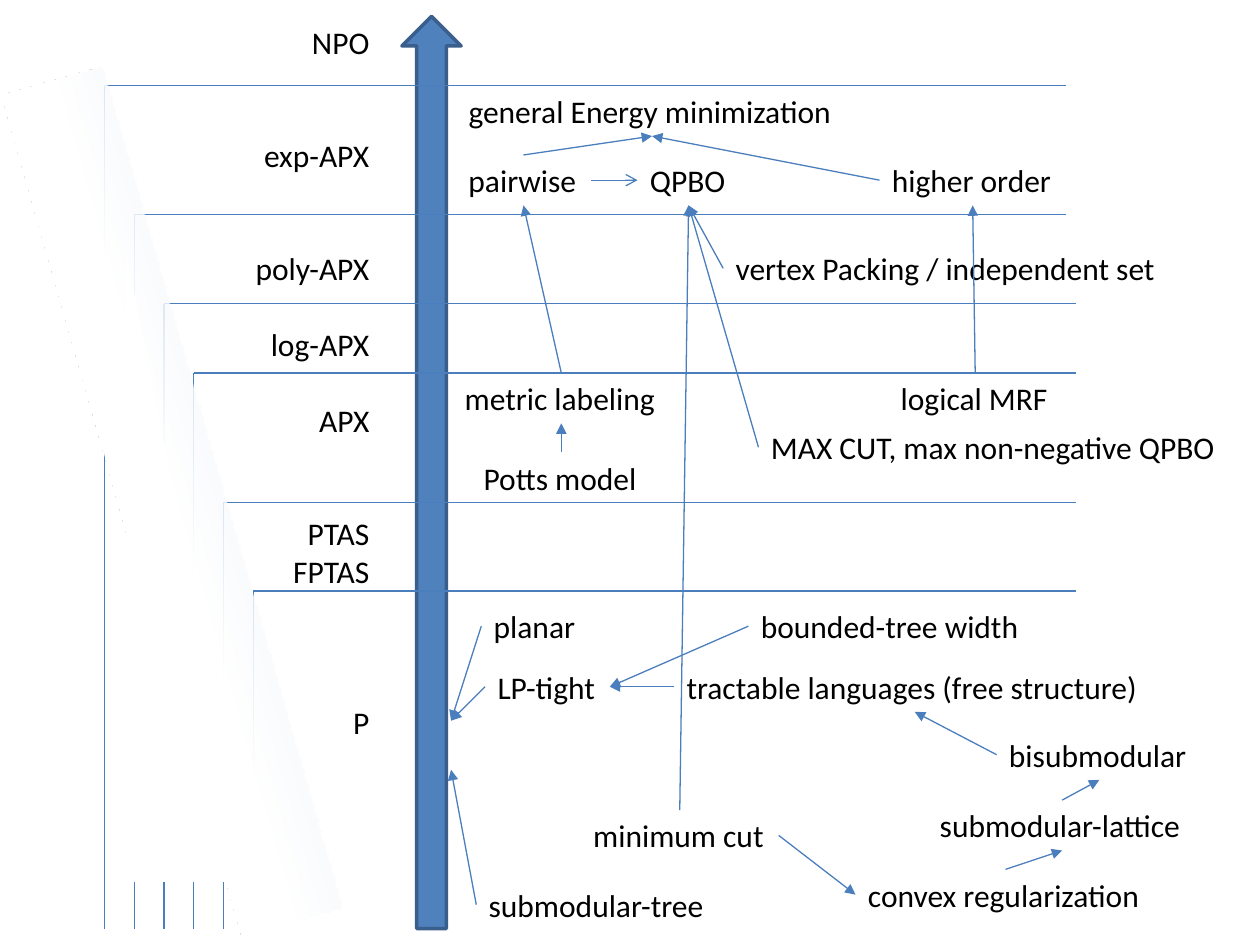
"""Build a slide that maps energy minimization problems onto approximation classes."""
from pptx import Presentation
from pptx.dml.color import RGBColor
from pptx.enum.shapes import MSO_CONNECTOR, MSO_SHAPE
from pptx.enum.text import MSO_AUTO_SIZE, PP_ALIGN
from pptx.oxml import parse_xml
from pptx.oxml.ns import nsdecls
from pptx.util import Inches, Pt

COLORS = {"axis": "4F81BD", "axis_edge": "3A5F8C", "line": "4B7EBC",
          "text": "000000", "paper": "FFFFFF", "haze": "E1E8F5"}
FONT, SIZE, LINE_PITCH = "Calibri", 18, 21.6
ROW_H, BOTTOM = 0.4, 7.37

CLASSES = [("NPO", 0), ("exp-APX", 2), ("poly-APX", 2), ("log-APX", 1),
           ("APX", 1), ("PTAS", 2), ("FPTAS", 0), ("P", 3)]
LEVELS = [(0.68, 8.46), (1.7, 8.46), (2.41, 8.54),
          (2.96, 8.54), (3.99, 8.54), (4.69, 8.54)]
LEVEL_LEFT, LEVEL_STEP = 0.83, 0.236

PROBLEMS = {
    "general Energy minimization": (3.62, 0.68, 3.11),
    "pairwise": (3.62, 1.23, 1.07),
    "QPBO": (5.06, 1.23, 0.81),
    "higher order": (6.98, 1.23, 1.48),
    "vertex Packing / independent set": (5.74, 1.93, 3.59),
    "metric labeling": (3.59, 2.96, 1.73),
    "logical MRF": (7.05, 2.96, 1.38),
    "MAX CUT, max non-negative QPBO": (6.02, 3.35, 3.76),
    "Potts model": (3.74, 3.59, 1.43),
    "planar": (3.82, 4.77, 1.1),
    "bounded-tree width": (5.94, 4.77, 2.27),
    "LP-tight": (3.85, 5.25, 0.99),
    "tractable languages (free structure)": (5.35, 5.25, 3.82),
    "bisubmodular": (7.91, 5.79, 1.63),
    "submodular-lattice": (7.36, 6.35, 2.14),
    "minimum cut": (4.61, 6.43, 1.57),
    "convex regularization": (6.79, 6.9, 2.38),
    "submodular-tree": (3.78, 6.98, 1.93),
}
AXIS_POINTS = {"P upper": (3.58, 5.72), "P lower": (3.58, 6.11)}
SIDES = {"left": (0, 0.5), "right": (1, 0.5), "top": (0.5, 0), "bottom": (0.5, 1)}

REDUCTIONS = [
    ("pairwise", "top", "general Energy minimization", "bottom"),
    ("higher order", "left", "general Energy minimization", "bottom"),
    ("pairwise", "right", "QPBO", "left"),
    ("vertex Packing / independent set", "left", "QPBO", "bottom"),
    ("MAX CUT, max non-negative QPBO", "left", "QPBO", "bottom"),
    ("minimum cut", "top", "QPBO", "bottom"),
    ("metric labeling", "top", "pairwise", "bottom"),
    ("Potts model", "top", "metric labeling", "bottom"),
    ("logical MRF", "top", "higher order", "bottom"),
    ("planar", "left", "P upper", None),
    ("LP-tight", "left", "P upper", None),
    ("submodular-tree", "left", "P lower", None),
    ("bounded-tree width", "left", "LP-tight", "right"),
    ("tractable languages (free structure)", "left", "LP-tight", "right"),
    ("bisubmodular", "left", "tractable languages (free structure)", "bottom"),
    ("submodular-lattice", "top", "bisubmodular", "bottom"),
    ("convex regularization", "top", "submodular-lattice", "bottom"),
    ("minimum cut", "right", "convex regularization", "left"),
]
OPEN_HEADS = {("pairwise", "QPBO")}
COVER = [(2.15, 7.46), (0.64, 7.46), (0.6, 2.5), (2.1, 6.97)]


def rgb(name):
    return RGBColor.from_string(COLORS[name])


def add_text(s, box, items, align=PP_ALIGN.LEFT, wrap=False):
    tf = s.shapes.add_textbox(*map(Inches, box)).text_frame
    tf.word_wrap = wrap
    tf.auto_size = MSO_AUTO_SIZE.SHAPE_TO_FIT_TEXT
    for i, (text, gap) in enumerate(items):
        p = tf.add_paragraph() if i else tf.paragraphs[0]
        p.alignment = align
        p.space_before = Pt(gap * LINE_PITCH)
        r = p.add_run()
        r.text = text
        r.font.name, r.font.size = FONT, Pt(SIZE)
        r.font.color.rgb = rgb("text")


def add_line(s, start, end, head=None):
    c = s.shapes.add_connector(MSO_CONNECTOR.STRAIGHT, *map(Inches, start + end))
    c.line.color.rgb = rgb("line")
    c.line.width = Pt(0.75)
    c._element.spPr.append(parse_xml(f"<a:effectLst {nsdecls('a')}/>"))
    if head:
        ln = c.line._get_or_add_ln()
        ln.append(parse_xml(f'<a:tailEnd {nsdecls("a")} type="{head}"/>'))


def anchor(name, side):
    if name in AXIS_POINTS:
        return AXIS_POINTS[name]
    x, y, w = PROBLEMS[name]
    fx, fy = SIDES[side]
    return x + fx * w, y + fy * ROW_H


def add_axis(s):
    sp = s.shapes.add_shape(MSO_SHAPE.UP_ARROW, *map(Inches, (3.19, 0.13, 0.47, 7.24)))
    sp.shadow.inherit = False
    sp.fill.solid()
    sp.fill.fore_color.rgb = rgb("axis")
    sp.line.color.rgb = rgb("axis_edge")
    sp.line.width = Pt(2)


def add_haze(s):
    sp = s.shapes.add_shape(MSO_SHAPE.RECTANGLE, *map(Inches, (-2.1, 3.56, 6.93, 0.83)))
    sp.rotation = 254.1
    sp.shadow.inherit = False
    sp.line.fill.background()
    paper, haze = COLORS["paper"], COLORS["haze"]
    sp._element.spPr.find("{*}prstGeom").addnext(parse_xml(
        f'<a:gradFill {nsdecls("a")} rotWithShape="1"><a:gsLst>'
        f'<a:gs pos="0"><a:srgbClr val="{paper}"/></a:gs>'
        f'<a:gs pos="50000"><a:srgbClr val="{paper}"/></a:gs>'
        f'<a:gs pos="100000"><a:srgbClr val="{haze}"><a:alpha val="0"/></a:srgbClr></a:gs>'
        '</a:gsLst><a:lin ang="5400000" scaled="0"/></a:gradFill>'))


def add_cover(s):
    fb = s.shapes.build_freeform(*COVER[0], scale=Inches(1))
    fb.add_line_segments(COVER[1:], close=True)
    sp = fb.convert_to_shape()
    sp.shadow.inherit = False
    sp.fill.solid()
    sp.fill.fore_color.rgb = rgb("paper")
    sp.line.fill.background()


def main():
    prs = Presentation()
    prs.slide_width, prs.slide_height = Inches(10), Inches(7.5)
    s = prs.slides.add_slide(prs.slide_layouts[6])
    add_text(s, (1.69, 0.13, 1.34, 5.86), CLASSES, PP_ALIGN.RIGHT, wrap=True)
    add_axis(s)
    for i, (y, right) in enumerate(LEVELS):
        x = LEVEL_LEFT + i * LEVEL_STEP
        add_line(s, (x, y), (right, y))
        add_line(s, (x, y), (x, BOTTOM))
    for name, (x, y, w) in PROBLEMS.items():
        add_text(s, (x, y, w, ROW_H), [(name, 0)])
    for source, out_side, target, in_side in REDUCTIONS:
        head = "arrow" if (source, target) in OPEN_HEADS else "triangle"
        add_line(s, anchor(source, out_side), anchor(target, in_side), head)
    add_haze(s)
    add_cover(s)
    prs.save("out.pptx")


if __name__ == "__main__":
    main()
